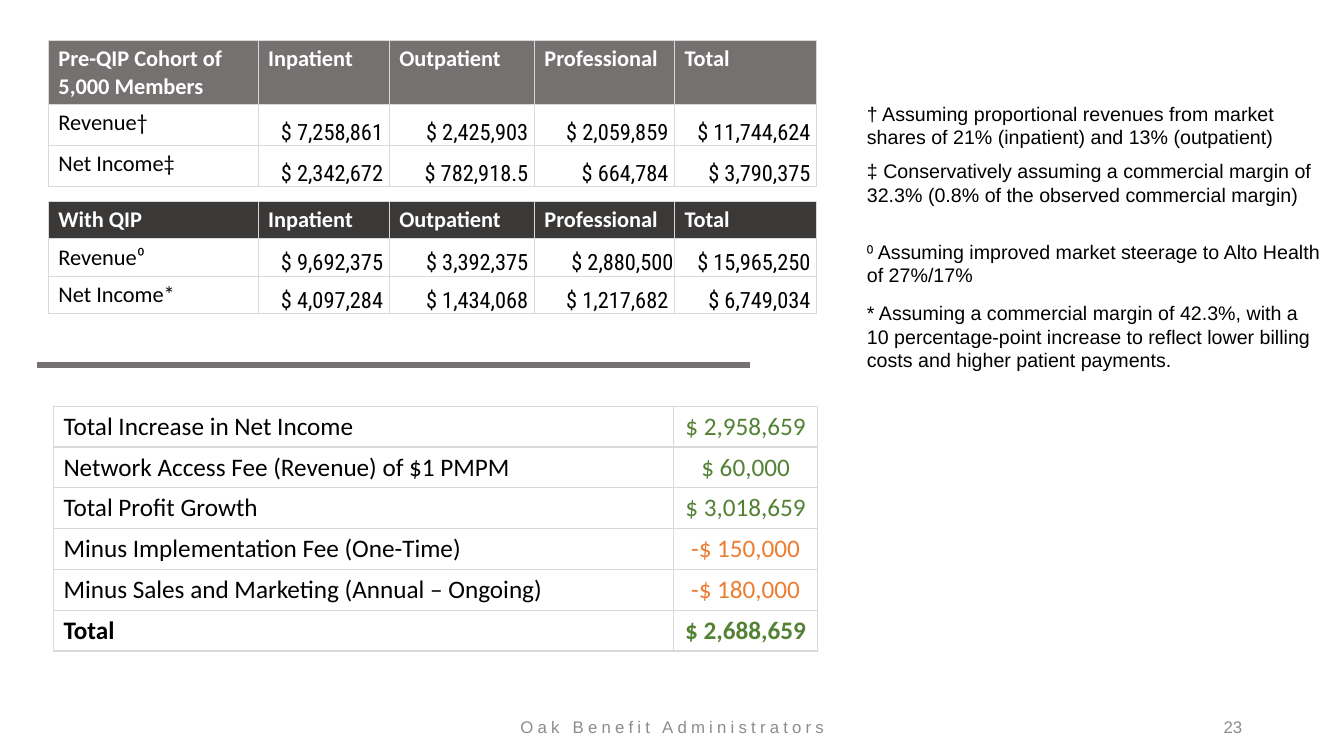
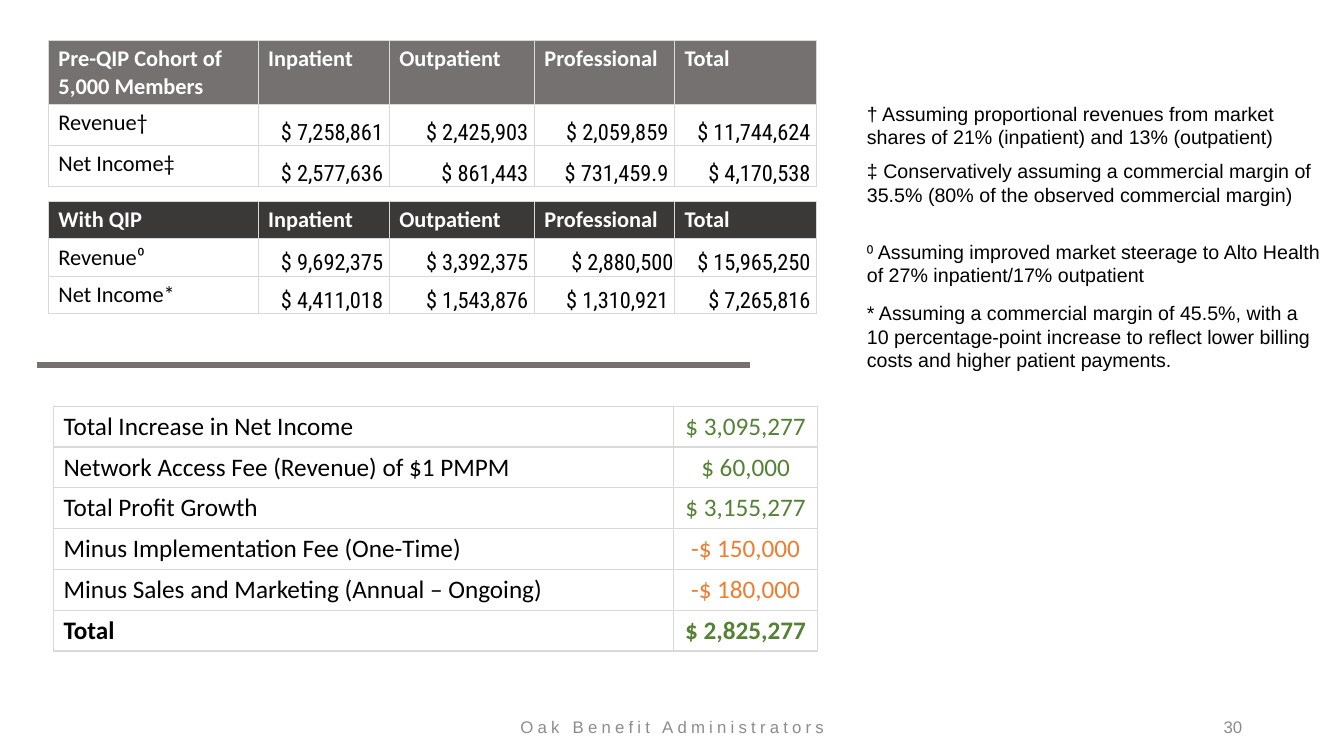
from lxml import etree
from pptx import Presentation
from pptx.dml.color import RGBColor
from pptx.enum import shapes, text
from pptx.oxml import ns
from pptx.util import Inches, Pt

WHITE = RGBColor(0xFF, 0xFF, 0xFF)
BLACK = RGBColor(0x00, 0x00, 0x00)
GRAY = RGBColor(0x76, 0x71, 0x71)
CHARCOAL = RGBColor(0x3B, 0x38, 0x38)
FOOTER_GRAY = RGBColor(0x8C, 0x8C, 0x8C)
BORDER = RGBColor(0xD9, 0xD9, 0xD9)
GREEN = RGBColor(0x54, 0x82, 0x35)
ORANGE = RGBColor(0xED, 0x7D, 0x31)

LEFT, CENTER, RIGHT = text.PP_ALIGN.LEFT, text.PP_ALIGN.CENTER, text.PP_ALIGN.RIGHT
TOP, MIDDLE, BOTTOM = text.MSO_ANCHOR.TOP, text.MSO_ANCHOR.MIDDLE, text.MSO_ANCHOR.BOTTOM

CATEGORIES = ["Inpatient", "Outpatient", "Professional", "Total"]
CATEGORY_WIDTHS = [2.08, 1.3, 1.44, 1.39, 1.41]
REVENUE_BEFORE = [" $ 7,258,861 ", " $ 2,425,903 ", " $ 2,059,859 ", " $ 11,744,624 "]
REVENUE_AFTER = [" $ 9,692,375 ", " $ 3,392,375 ", " $ 2,880,500", " $ 15,965,250 "]
SUMMARY_LABELS = [
    "Total Increase in Net Income",
    "Network Access Fee (Revenue) of $1 PMPM",
    "Total Profit Growth",
    "Minus Implementation Fee (One-Time)",
    "Minus Sales and Marketing (Annual – Ongoing)",
    "Total",
]
ASSUMPTION_BOXES = [(0.96, 0.81), (1.53, 0.57), (2.33, 0.57), (2.94, 0.81)]

SCENARIOS = [
    {
        "number": 23,
        "income_before": [" $ 2,342,672 ", " $ 782,918.5 ", " $ 664,784 ", " $ 3,790,375 "],
        "income_after": [" $ 4,097,284 ", " $ 1,434,068 ", " $ 1,217,682 ", " $ 6,749,034 "],
        "increase": "$ 2,958,659",
        "growth": "$ 3,018,659",
        "total": "$ 2,688,659",
        "margin": "32.3% (0.8% of the observed commercial margin)",
        "steerage": "27%/17%",
        "raised_margin": "42.3%",
    },
    {
        "number": 30,
        "income_before": [" $ 2,577,636 ", " $ 861,443 ", " $ 731,459.9 ", " $ 4,170,538 "],
        "income_after": [" $ 4,411,018 ", " $ 1,543,876 ", " $ 1,310,921 ", " $ 7,265,816 "],
        "increase": "$ 3,095,277",
        "growth": "$ 3,155,277",
        "total": "$ 2,825,277",
        "margin": "35.5% (80% of the observed commercial margin)",
        "steerage": "27% inpatient/17% outpatient",
        "raised_margin": "45.5%",
    },
]


def write_text(frame, content, *, font="Arial", size=14, color=BLACK, bold=False,
               align=LEFT, anchor=TOP, spacing=None):
    frame.word_wrap = True
    frame.vertical_anchor = anchor
    paragraph = frame.paragraphs[0]
    paragraph.alignment = align
    run = paragraph.add_run()
    run.text = content
    run.font.name = font
    run.font.size = Pt(size)
    run.font.bold = bold
    run.font.color.rgb = color
    if spacing:
        run.font._element.set("spc", str(spacing * 100))


def add_borders(cell):
    properties = cell._tc.get_or_add_tcPr()
    for index, side in enumerate(("lnL", "lnR", "lnT", "lnB")):
        line = etree.Element(ns.qn(f"a:{side}"), w=str(Pt(1)))
        fill = etree.SubElement(line, ns.qn("a:solidFill"))
        etree.SubElement(fill, ns.qn("a:srgbClr"), val=str(BORDER))
        properties.insert(index, line)


class Deck:
    def __init__(self):
        self.presentation = Presentation()
        self.presentation.slide_width = Inches(13.33)
        self.presentation.slide_height = Inches(7.5)
        self.slide = None

    def new_slide(self, number):
        self.slide = self.presentation.slides.add_slide(self.presentation.slide_layouts[6])
        footer = {"size": 12, "color": FOOTER_GRAY, "anchor": MIDDLE}
        self.textbox(4.42, 7.08, 4.5, 0.27, "Oak Benefit Administrators",
                     align=CENTER, spacing=3, **footer)
        self.textbox(9.42, 7.08, 3, 0.27, str(number), align=RIGHT, **footer)

    def textbox(self, left, top, width, height, content, **style):
        shape = self.slide.shapes.add_textbox(
            Inches(left), Inches(top), Inches(width), Inches(height))
        write_text(shape.text_frame, content, **style)

    def divider(self, left, right, top):
        connector = self.slide.shapes.add_connector(
            shapes.MSO_CONNECTOR.STRAIGHT,
            Inches(left), Inches(top), Inches(right), Inches(top))
        connector.line.color.rgb = GRAY
        connector.line.width = Pt(4.5)
        etree.SubElement(connector._element.spPr, ns.qn("a:effectLst"))

    def table(self, left, top, widths, heights):
        table = self.slide.shapes.add_table(
            len(heights), len(widths), Inches(left), Inches(top),
            Inches(sum(widths)), Inches(sum(heights))).table
        table.first_row = table.horz_banding = False
        for column, width in zip(table.columns, widths):
            column.width = Inches(width)
        for row, height in zip(table.rows, heights):
            row.height = Inches(height)
        return table

    def cell(self, cell, content, fill=None, **style):
        write_text(cell.text_frame, content, **style)
        cell.vertical_anchor = style.get("anchor", TOP)
        if fill is None:
            cell.fill.background()
        else:
            cell.fill.solid()
            cell.fill.fore_color.rgb = fill
        add_borders(cell)

    def category_table(self, top, heights, heading, fill, rows):
        table = self.table(0.48, top, CATEGORY_WIDTHS, heights)
        for column, content in enumerate([heading] + CATEGORIES):
            self.cell(table.cell(0, column), content, fill=fill,
                      font="Calibri", size=16, color=WHITE, bold=True)
        for row, (label, amounts) in enumerate(rows, 1):
            self.cell(table.cell(row, 0), label, font="Calibri", size=16)
            for column, amount in enumerate(amounts, 1):
                cell = table.cell(row, column)
                cell.margin_left = cell.margin_right = cell.margin_top = Inches(0.01)
                cell.margin_bottom = 0
                self.cell(cell, amount, font="Roboto Condensed", size=16,
                          align=RIGHT, anchor=BOTTOM)

    def summary_table(self, amounts):
        table = self.table(0.53, 4.03, [6.15, 1.43], [2.43 / len(amounts)] * len(amounts))
        for row, (label, amount) in enumerate(zip(SUMMARY_LABELS, amounts)):
            style = {"font": "Calibri", "size": 18, "bold": label == "Total"}
            color = ORANGE if amount.startswith("-") else GREEN
            self.cell(table.cell(row, 0), label, **style)
            self.cell(table.cell(row, 1), amount, color=color, align=CENTER, **style)

    def assumptions(self, lines):
        for (top, height), line in zip(ASSUMPTION_BOXES, lines):
            self.textbox(8.5, top, 4.72, height, line)

    def scenario(self, data):
        self.new_slide(data["number"])
        self.category_table(0.4, [0.62, 0.41, 0.41], "Pre-QIP Cohort of 5,000 Members", GRAY,
                            [("Revenue†", REVENUE_BEFORE),
                             ("Net Income‡", data["income_before"])])
        self.divider(0.37, 7.44, 3.62)
        self.summary_table([data["increase"], "$ 60,000", data["growth"],
                            "-$ 150,000", "-$ 180,000", data["total"]])
        self.category_table(2, [0.37] * 3, "With QIP", CHARCOAL,
                            [("Revenue⁰", REVENUE_AFTER),
                             ("Net Income*", data["income_after"])])
        self.assumptions([
            "† Assuming proportional revenues from market shares of 21% (inpatient) "
            "and 13% (outpatient)",
            f"‡ Conservatively assuming a commercial margin of {data['margin']}",
            f"⁰ Assuming improved market steerage to Alto Health of {data['steerage']}",
            f"* Assuming a commercial margin of {data['raised_margin']}, with a 10 "
            "percentage-point increase to reflect lower billing costs and higher "
            "patient payments.",
        ])


def main():
    deck = Deck()
    for data in SCENARIOS:
        deck.scenario(data)
    deck.presentation.save("out.pptx")


if __name__ == "__main__":
    main()
